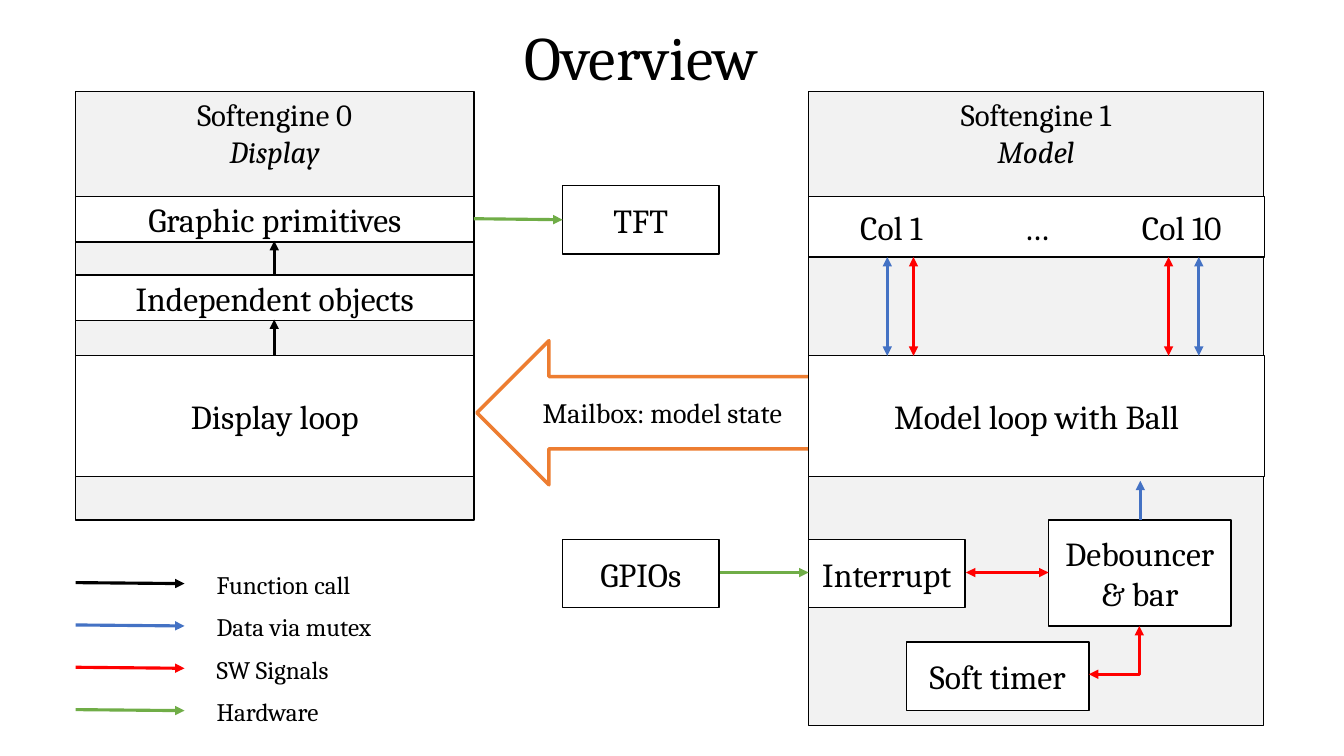
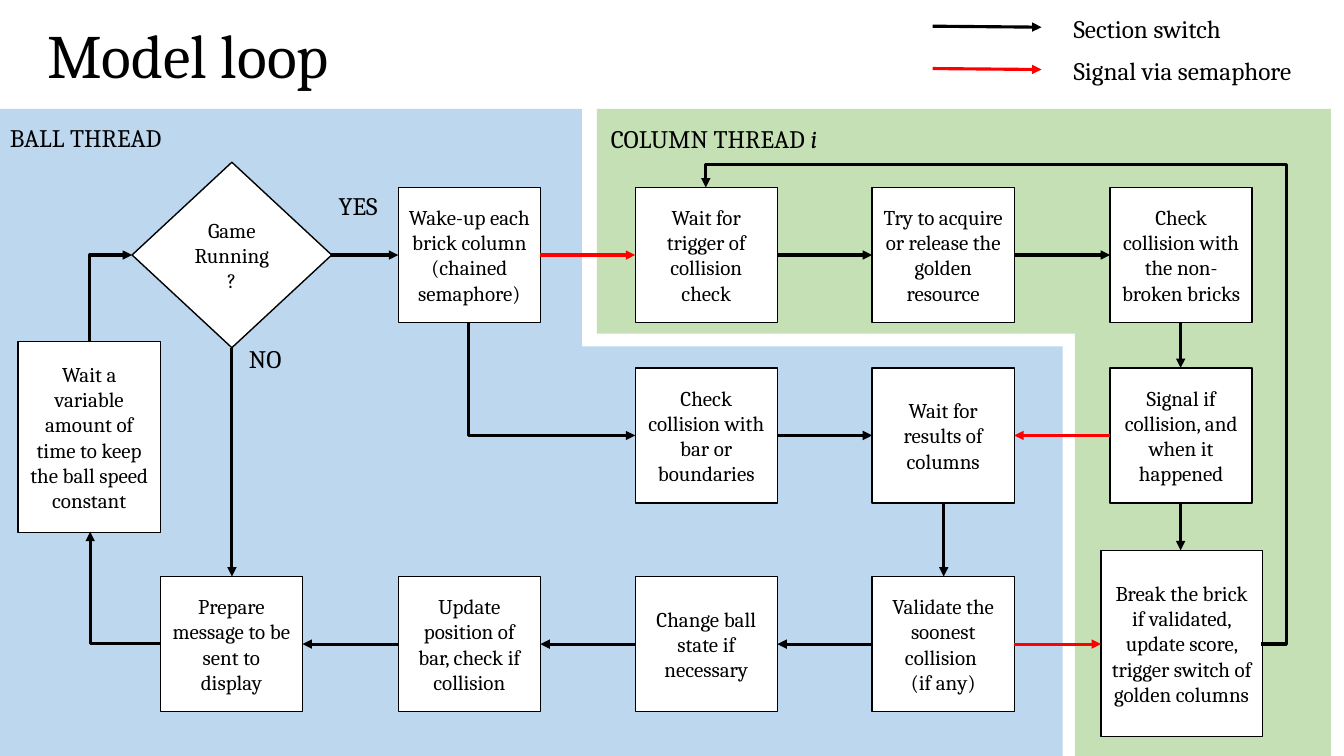
"""Build two diagram slides: a system overview and the flow of its model loop."""
from pptx import Presentation
from pptx.dml.color import RGBColor
from pptx.enum.shapes import MSO_CONNECTOR, MSO_SHAPE
from pptx.enum.text import MSO_ANCHOR, PP_ALIGN
from pptx.oxml.ns import qn
from pptx.util import Inches, Pt
from lxml import etree

RECTANGLE, DIAMOND = MSO_SHAPE.RECTANGLE, MSO_SHAPE.DIAMOND
LEFT_ARROW, CORNER = MSO_SHAPE.LEFT_ARROW, MSO_SHAPE.CORNER
STRAIGHT = MSO_CONNECTOR.STRAIGHT
LEFT, CENTER = PP_ALIGN.LEFT, PP_ALIGN.CENTER
TOP, MIDDLE = MSO_ANCHOR.TOP, MSO_ANCHOR.MIDDLE
FONT = "Cambria"
BLACK, WHITE, GREY = "000000", "FFFFFF", "F2F2F2"
RED, BLUE, GREEN, ORANGE = "FF0000", "4472C4", "70AD47", "ED7D31"
PALE_BLUE, PALE_GREEN = "BDD7EE", "C5E0B4"
HEAD, TAIL = ("a:headEnd",), ("a:tailEnd",)
BOTH = HEAD + TAIL


def add_box(page, at, text="", size=24, italic="", kind=RECTANGLE, fill=None,
            line=BLACK, weight=1, align=CENTER, anchor=MIDDLE):
    """Add a shape, or a text box when kind is None, with formatted text."""
    place = [Inches(value) for value in at]
    if kind is None:
        box = page.shapes.add_textbox(*place)
    else:
        box = page.shapes.add_shape(kind, *place)
        box.shadow.inherit = False
        if fill:
            box.fill.solid()
            box.fill.fore_color.rgb = RGBColor.from_string(fill)
        else:
            box.fill.background()
        if line:
            box.line.color.rgb = RGBColor.from_string(line)
            box.line.width = Pt(weight)
        else:
            box.line.fill.background()
    frame = box.text_frame
    frame.word_wrap = True
    frame.vertical_anchor = anchor
    frame.text = text
    if italic:
        span = frame.paragraphs[-1].add_run()
        span.text = italic
        span.font.italic = True
    for para in frame.paragraphs:
        para.alignment = align
        for span in para.runs:
            span.font.name = FONT
            span.font.size = Pt(size)
            span.font.color.rgb = RGBColor.from_string(BLACK)
    return box


def add_arrow(page, points, colour=BLACK, ends=TAIL):
    """Add a straight connector with triangles at the given ends."""
    arrow = page.shapes.add_connector(STRAIGHT, *[Inches(value) for value in points])
    arrow.line.color.rgb = RGBColor.from_string(colour)
    arrow.line.width = Pt(2.25)
    properties = arrow.element.spPr
    for end in ends:
        etree.SubElement(properties.get_or_add_ln(), qn(end), type="triangle")
    etree.SubElement(properties, qn("a:effectLst"))
    return arrow


deck = Presentation()
deck.slide_width, deck.slide_height = Inches(13.33), Inches(7.5)
overview, loop = [deck.slides.add_slide(deck.slide_layouts[6]) for _ in range(2)]

thread_panels = [
    ((0, 1.08, 10.54, 6.42), 0, (0.633, 0.899), PALE_BLUE),
    ((5.92, 1.08, 7.28, 6.46), 180, (0.345, 0.393), PALE_GREEN),
]
for at, turn, bends, colour in thread_panels:
    panel = add_box(loop, at, kind=CORNER, fill=colour, line=None)
    panel.rotation = turn
    panel.adjustments[0], panel.adjustments[1] = bends

titles = [
    (overview, (0.61, 0.02, 11.5, 1.17), "Overview"),
    (loop, (-0.21, 0, 4.15, 1.17), "Model loop"),
]
for page, at, text in titles:
    title = add_box(page, at, text, 44, kind=None)
    title.text_frame.paragraphs[0].line_spacing = 0.9

processors = [
    ((0.75, 0.91, 3.95, 4.25), 1.11, "Softengine 0\n", "Display"),
    ((8.02, 0.91, 4.51, 6.29), 8.66, "Softengine 1\n", "Model"),
]
for at, left, name, role in processors:
    add_box(overview, at, fill=GREY)
    add_box(overview, (left, 0.9, 3.23, 0.84), name, 22, role, kind=None)

add_box(overview, (4.73, 3.38, 3.32, 1.43), "Mailbox: model state", 20,
        kind=LEFT_ARROW, line=ORANGE, weight=2.5)
modules = [
    ((8.02, 5.35, 1.55, 0.68), "Interrupt"),
    ((10.4, 5.16, 1.81, 1.05), "Debouncer\v& bar"),
    ((8.99, 6.37, 1.81, 0.68), "Soft timer"),
    ((8.02, 3.53, 4.52, 1.2), "Model loop with Ball"),
    ((0.75, 3.53, 3.95, 1.2), "Display loop"),
    ((0.75, 1.95, 3.95, 0.45), "Graphic primitives"),
    ((0.75, 2.73, 3.95, 0.45), "Independent objects"),
]
for at, text in modules:
    add_box(overview, at, text, fill=WHITE)
for top, device in [(5.35, "GPIOs"), (1.84, "TFT")]:
    add_box(overview, (5.58, top, 1.55, 0.68), device)
columns = add_box(overview, (8.02, 1.95, 4.52, 0.6), "Col 1\n…\nCol 10", fill=WHITE)
columns.element.txBody.bodyPr.set("numCol", "3")

for left, colour in [(8.8, BLUE), (9.06, RED), (11.59, RED), (11.89, BLUE)]:
    add_arrow(overview, (left, 2.55, left, 3.53), colour, BOTH)
overview_arrows = [
    ((11.31, 5.16, 11.31, 4.77), BLUE, TAIL),
    ((10.4, 5.68, 9.58, 5.68), RED, BOTH),
    ((2.72, 2.73, 2.72, 2.39), BLACK, TAIL),
    ((2.72, 3.53, 2.72, 3.17), BLACK, TAIL),
    ((4.7, 2.17, 5.58, 2.18), GREEN, TAIL),
    ((7.14, 5.68, 8.02, 5.68), GREEN, TAIL),
]
for points, colour, ends in overview_arrows:
    add_arrow(overview, points, colour, ends)

lefts, tops = [1.59, 3.95, 6.3, 8.65, 11.01], [1.86, 3.65, 5.72]
step_width, step_height = 1.41, 1.34
steps = [
    (1, 0, "Wake-up each brick column (chained semaphore)"),
    (2, 0, "Wait for trigger of collision check"),
    (3, 0, "Try to acquire or release the golden resource"),
    (4, 0, "Check collision with the non-broken bricks"),
    (2, 1, "Check collision with bar or boundaries"),
    (3, 1, "Wait for results of columns"),
    (4, 1, "Signal if collision, and when it happened"),
    (0, 2, "Prepare message to be sent to display"),
    (1, 2, "Update position of bar, check if collision"),
    (2, 2, "Change ball state if necessary"),
    (3, 2, "Validate the soonest collision \n(if any)"),
]
for column, row, text in steps:
    add_box(loop, (lefts[column], tops[row], step_width, step_height), text, 15, fill=WHITE)
add_box(loop, (1.31, 1.61, 1.98, 1.84), "Game\nRunning ?", 15, kind=DIAMOND, fill=WHITE)
add_box(loop, (10.92, 5.46, 1.6, 1.85),
        "Break the brick if validated, update score, trigger switch of golden columns",
        15, fill=WHITE)
add_box(loop, (0.18, 3.39, 1.41, 1.89),
        "Wait a variable amount of time to keep the ball speed constant", 15, fill=WHITE)

links = [
    (1, 2, 0, RED), (2, 3, 0, BLACK), (3, 4, 0, BLACK),
    (2, 3, 1, BLACK), (4, 3, 1, RED),
    (3, 2, 2, BLACK), (2, 1, 2, BLACK), (1, 0, 2, BLACK),
]
for source, target, row, colour in links:
    middle = tops[row] + step_height / 2
    start, end = lefts[source], lefts[target]
    if target > source:
        start += step_width
    else:
        end += step_width
    add_arrow(loop, (start, middle, end, middle), colour)
loop_arrows = [
    ((2.3, 3.45, 2.3, 5.72), BLACK),
    ((3.28, 2.53, 3.95, 2.53), BLACK),
    ((11.71, 3.2, 11.71, 3.65), BLACK),
    ((11.71, 4.99, 11.71, 5.46), BLACK),
    ((9.36, 4.99, 9.36, 5.72), BLACK),
    ((10.06, 6.39, 10.92, 6.39), RED),
]
for points, colour in loop_arrows:
    add_arrow(loop, points, colour)

elbows = [
    (overview, (10.8, 6.21, 0.5, 0.48), 0, "flipV", "bentConnector2", (), RED, BOTH),
    (loop, (0.69, 5.48, 1.11, 0.7), 270, "flipH", "bentConnector2", (), BLACK, HEAD),
    (loop, (0.89, 2.53, 0.42, 0.86), 180, "flipV", "bentConnector2", (), BLACK, HEAD),
    (loop, (4.65, 3.2, 1.65, 1.12), 180, None, "bentConnector2", (), BLACK, HEAD),
    (loop, (7.49, 1.37, 4.53, 5.51), 270, "flipH", "bentConnector4",
     (-5100, 104500), BLACK, HEAD),
]
for page, (left, top, width, height), turn, flip, preset, bends, colour, ends in elbows:
    elbow = add_arrow(page, (left, top, left + width, top + height), colour, ends)
    frame = elbow.element.spPr.find(qn("a:xfrm"))
    frame.set("rot", str(turn * 60000))
    if flip:
        frame.set(flip, "1")
    geometry = elbow.element.spPr.find(qn("a:prstGeom"))
    geometry.set("prst", preset)
    for number, bend in enumerate(bends, 1):
        etree.SubElement(geometry.find(qn("a:avLst")), qn("a:gd"),
                         name=f"adj{number}", fmla=f"val {bend}")

labels = [
    ((3.26, 1.84, 0.7, 0.4), "YES", ""),
    ((2.37, 3.36, 0.59, 0.4), "NO", ""),
    ((0, 1.16, 2.08, 0.4), "BALL THREAD", ""),
    ((5.96, 1.17, 2.7, 0.4), "COLUMN THREAD ", "i"),
]
for at, text, italic in labels:
    add_box(loop, at, text, 18, italic, kind=None, align=LEFT, anchor=TOP)

legends = [
    (overview, 0.75, 5.78, [("Function call", BLACK), ("Data via mutex", BLUE),
                            ("SW Signals", RED), ("Hardware", GREEN)]),
    (loop, 9.25, 0.26, [("Section switch", BLACK), ("Signal via semaphore", RED)]),
]
for page, left, first, entries in legends:
    for index, (text, colour) in enumerate(entries):
        top = first + 0.42 * index
        add_arrow(page, (left, top, left + 1.08, top + 0.01), colour)
        add_box(page, (left + 1.3, top - 0.18, 2.7, 0.4), text, 18,
                kind=None, align=LEFT, anchor=TOP)

deck.save("out.pptx")
